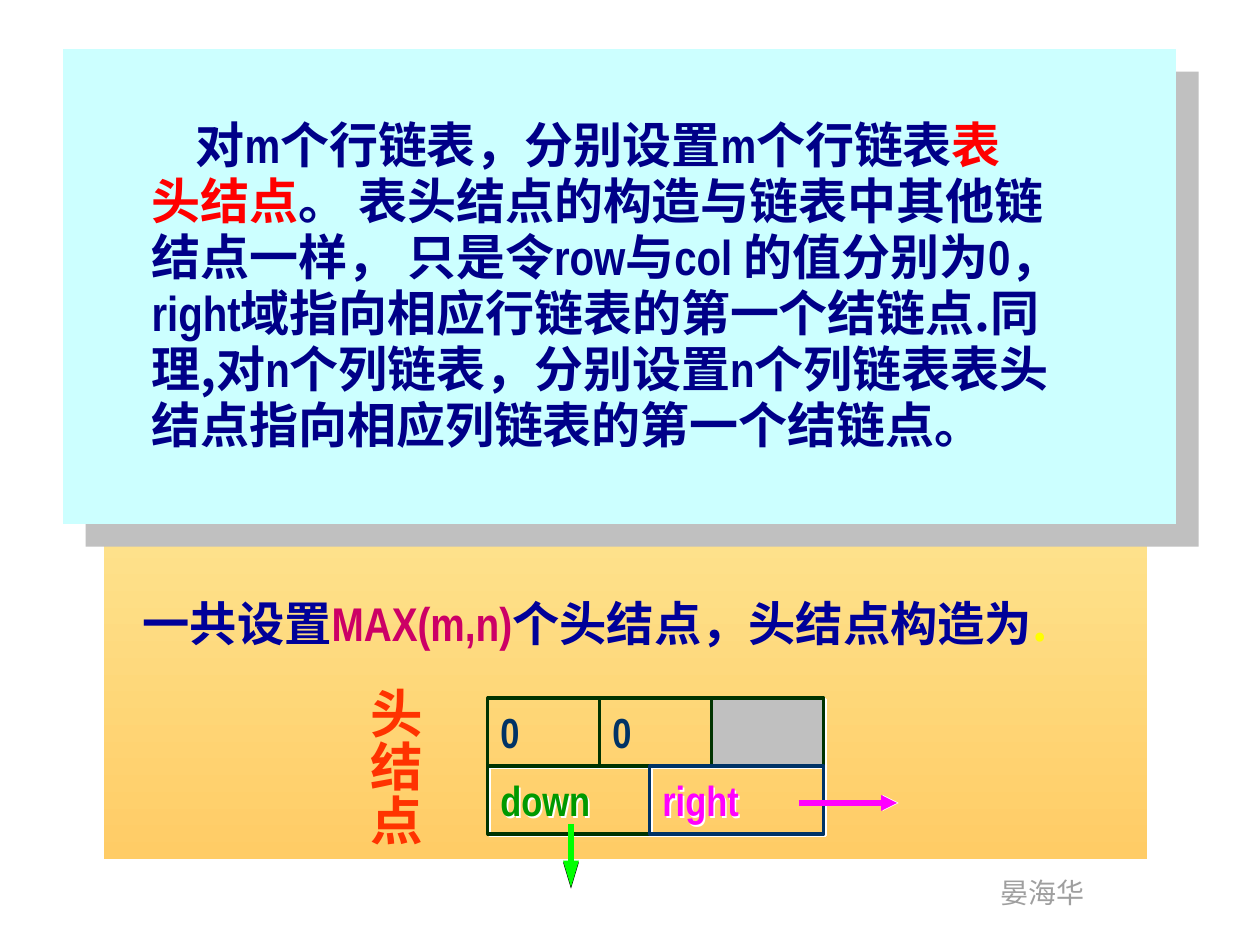
import pptx
import pptx.dml.color
import pptx.enum.shapes
import pptx.enum.text
import pptx.oxml.ns
import pptx.util
from lxml import etree

SCALE = 914400 / 126  # EMU per px


class Theme:
    latin, cjk = "Arial Narrow", "Noto Sans CJK SC"
    navy, blue, red, crimson = "000088", "000099", "FF0000", "CC0066"
    yellow, orange, grey, silver = "FFFF00", "FF3300", "9F9F9F", "C0C0C0"
    cyan, cream, gold = "CCFFFF", "FCFEBC", "FFCC66"
    forest, slate, green, magenta = "003300", "003366", "009900", "FF00FF"
    lime, white, black = "00FF00", "FFFFFF", "000000"
    title_size, body_size, cell_size, label_size, author_size = 27, 28, 24, 30, 16


# Content: every run is (text, font, colour)
def cjk(text, colour=Theme.navy):
    return text, Theme.cjk, colour


def latin(text, colour=Theme.navy):
    return text, Theme.latin, colour


TITLE = [[cjk("一共设置", Theme.blue), latin("MAX(m,n)", Theme.crimson),
          cjk("个头结点，头结点构造为", Theme.blue), cjk(".", Theme.yellow)]]
BODY = [
    [cjk("对"), latin("m"), cjk("个行链表，分别设置"), latin("m"), cjk("个行链表"),
     cjk("表", Theme.red)],
    [cjk("头结点", Theme.red), cjk("。 表头结点的构造与链表中其他链")],
    [cjk("结点一样， 只是令"), latin("row"), cjk("与"), latin("col "), cjk("的值分别为"),
     latin("0"), cjk("，")],
    [latin("right"), cjk("域指向相应行链表的第一个结链点.同")],
    [cjk("理,对"), latin("n"), cjk("个列链表，分别设置"), latin("n"), cjk("个列链表表头")],
    [cjk("结点指向相应列链表的第一个结链点。")],
]
LABEL = [[cjk(letter, Theme.orange)] for letter in "头结点"]
AUTHOR = [[latin("晏海华", Theme.grey)]]

# Node rows of cells: (width, text, text colour, fill, line, has shadow)
NODE_LEFT, NODE_TOP, ROW_HEIGHT = 488, 698, 68
NODE_ROWS = [
    [(112, "0", Theme.slate, None, Theme.forest, False),
     (112, "0", Theme.slate, None, Theme.forest, False),
     (112, "", Theme.slate, Theme.silver, Theme.forest, True)],
    [(162, "down", Theme.green, None, Theme.forest, True),
     (174, "right", Theme.magenta, None, Theme.slate, True)],
]
# Pointers: (from, to, colour, head length, shadow colour, shadow angle)
POINTERS = [
    ((799, 803), (897, 803), Theme.magenta, "med", Theme.white, 0),
    ((571, 824), (571, 887), Theme.lime, "lg", Theme.black, 90),
]


def px(value):
    return round(value * SCALE)


def rgb(colour):
    return pptx.dml.color.RGBColor.from_string(colour)


def add_child(parent, tag, **attributes):
    return etree.SubElement(parent, pptx.oxml.ns.qn(tag), **attributes)


def add_shadow(properties, colour, distance, angle):
    effects = properties.find(pptx.oxml.ns.qn("a:effectLst"))
    if effects is None:
        effects = add_child(properties, "a:effectLst")
    shadow = add_child(effects, "a:outerShdw", blurRad="0", dist=str(round(distance * 12700)),
                       dir=str(angle * 60000), algn="tl", rotWithShape="0")
    add_child(shadow, "a:srgbClr", val=colour)


def set_font(font, name, colour):
    font.color.rgb = rgb(colour)
    font.name = name
    add_child(font._element if hasattr(font, "_element") else font._rPr,
              "a:ea", typeface=Theme.cjk)


def write(shape, paragraphs, size, bold=True, spacing=1.0, first_indent=0, wrap=False,
          anchor=pptx.enum.text.MSO_ANCHOR.TOP):
    frame = shape.text_frame
    frame.word_wrap = wrap
    frame.auto_size = pptx.enum.text.MSO_AUTO_SIZE.NONE
    frame.vertical_anchor = anchor
    for index, runs in enumerate(paragraphs):
        para = frame.paragraphs[0] if index == 0 else frame.add_paragraph()
        para.alignment = pptx.enum.text.PP_ALIGN.LEFT
        para.line_spacing = spacing
        para.space_before = pptx.util.Pt(0)
        settings = para._p.get_or_add_pPr()
        settings.set("marL", "0")
        settings.set("indent", str(px(first_indent) if index == 0 else 0))
        add_child(settings, "a:buNone")
        para.font.size = pptx.util.Pt(size)
        para.font.bold = bold
        uniform = len({run[1:] for run in runs}) == 1
        if uniform:
            set_font(para.font, *runs[0][1:])
        for text, name, colour in runs:
            span = para.add_run()
            span.text = text
            if not uniform:
                set_font(span.font, name, colour)


def place(shape, left, top, width, height):
    shape.left, shape.top, shape.width, shape.height = map(px, (left, top, width, height))


def add_rectangle(page, left, top, width, height, fill=None, line=None):
    box = page.shapes.add_shape(pptx.enum.shapes.MSO_SHAPE.RECTANGLE,
                                *map(px, (left, top, width, height)))
    box.shadow.inherit = False
    if fill:
        box.fill.solid()
        box.fill.fore_color.rgb = rgb(fill)
    else:
        box.fill.background()
    if line:
        box.line.color.rgb = rgb(line)
        box.line.width = pptx.util.Pt(1.75)
    else:
        box.line.fill.background()
    return box


def add_pointer(page, start, end, colour, head, shadow_colour, shadow_angle):
    arrow = page.shapes.add_connector(pptx.enum.shapes.MSO_CONNECTOR.STRAIGHT,
                                      *map(px, start + end))
    arrow.line.color.rgb = rgb(colour)
    arrow.line.width = pptx.util.Pt(3)
    add_child(arrow.line._get_or_add_ln(), "a:tailEnd", type="triangle", w="med", len=head)
    add_shadow(arrow._element.spPr, shadow_colour, 1, shadow_angle)


def main():
    deck = pptx.Presentation()
    deck.slide_width, deck.slide_height = px(1260), px(945)
    page = deck.slides.add_slide(deck.slide_layouts[1])
    title, body = page.placeholders
    tree = page.shapes._spTree

    # Gold panel and author
    panel = add_rectangle(page, 104, 139, 1043, 720)
    panel.fill.gradient()
    panel.fill.gradient_angle = 270
    for stop, colour in zip(panel.fill.gradient_stops, (Theme.cream, Theme.gold)):
        stop.color.rgb = rgb(colour)
    author = page.shapes.add_textbox(*map(px, (988, 869, 110, 47)))
    write(author, AUTHOR, Theme.author_size, bold=False)

    # Title above the gold panel
    tree.append(title._element)
    place(title, 130, 588, 951, 71)
    write(title, TITLE, Theme.title_size)

    # Cyan card with the explanation
    card = add_rectangle(page, 63, 49, 1113, 475, Theme.cyan)
    add_shadow(card._element.spPr, Theme.silver, 18.4, 45)
    tree.append(body._element)
    place(body, 139, 113, 1103, 352)
    write(body, BODY, Theme.body_size, spacing=0.95, first_indent=44, wrap=True)

    # Node cells
    for row, cells in enumerate(NODE_ROWS):
        left = NODE_LEFT
        for width, text, colour, fill, line, shadowed in cells:
            cell = add_rectangle(page, left, NODE_TOP + row * ROW_HEIGHT, width, ROW_HEIGHT,
                                 fill, line)
            if shadowed:
                add_shadow(cell._element.spPr, Theme.white, 1.4, 45)
            if text:
                write(cell, [[latin(text, colour)]], Theme.cell_size,
                      anchor=pptx.enum.text.MSO_ANCHOR.MIDDLE)
            left += width

    # Pointers and node label
    for pointer in POINTERS:
        add_pointer(page, *pointer)
    label = page.shapes.add_textbox(*map(px, (358, 684, 81, 175)))
    write(label, LABEL, Theme.label_size, spacing=0.85)
    for para in label.text_frame.paragraphs:
        add_shadow(para.runs[0]._r.get_or_add_rPr(), Theme.black, 1.5, 45)

    deck.save("out.pptx")


if __name__ == "__main__":
    main()
